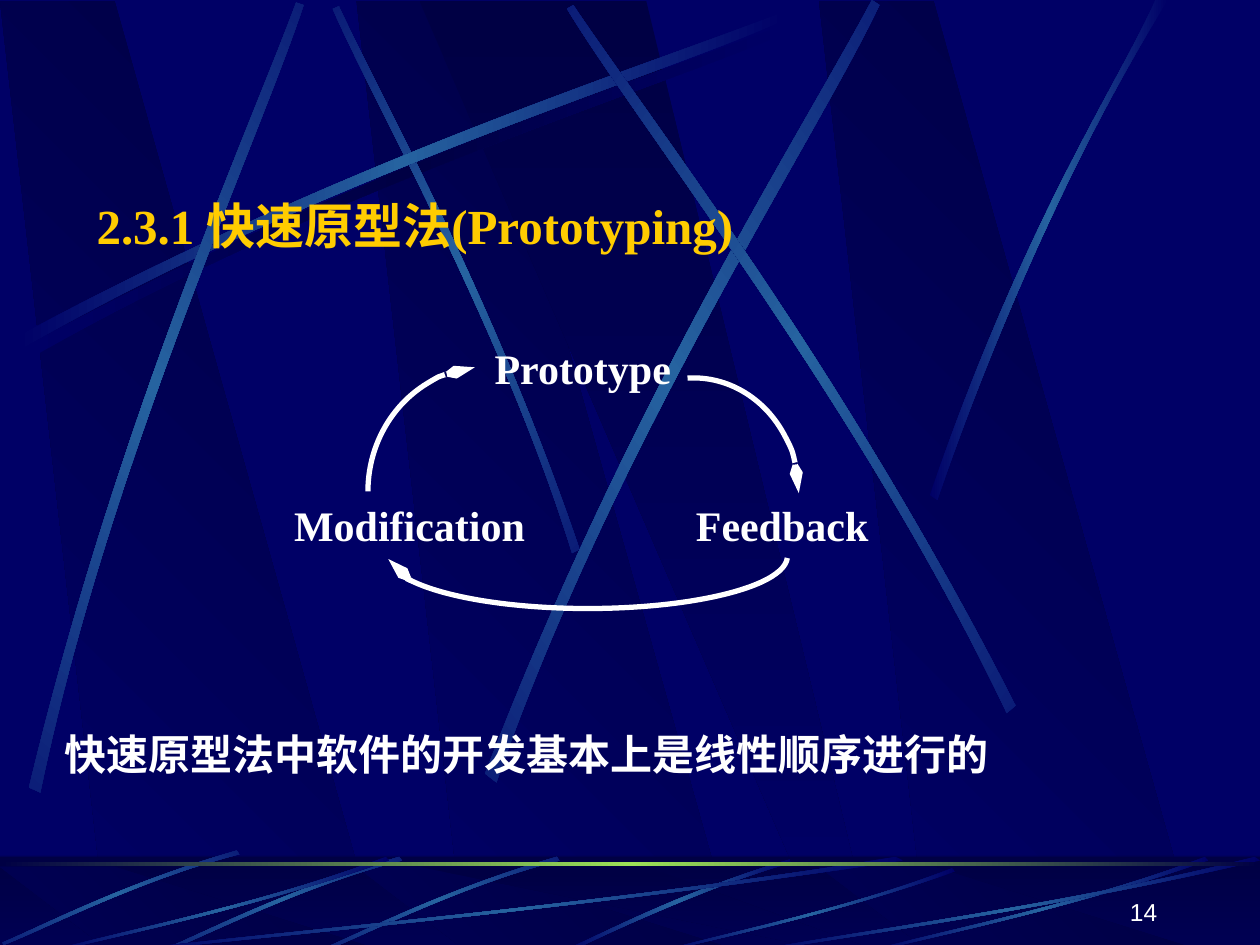
from dataclasses import dataclass
from math import cos, radians, sin

from lxml.etree import SubElement
from pptx import Presentation
from pptx.dml.color import RGBColor
from pptx.enum.shapes import MSO_SHAPE
from pptx.enum.text import MSO_ANCHOR, MSO_AUTO_SIZE, PP_ALIGN
from pptx.oxml.ns import qn
from pptx.util import Inches, Pt

NAVY = RGBColor(0x00, 0x00, 0x66)
DARK = RGBColor(0x00, 0x00, 0x44)
BEAM_BLUE = RGBColor(0x26, 0x63, 0xA0)
LIME = RGBColor(0x9C, 0xE1, 0x57)
GOLD = RGBColor(0xFF, 0xCC, 0x00)
WHITE = RGBColor(0xFF, 0xFF, 0xFF)

SLIDE_W, SLIDE_H = Inches(10), Inches(7.5)
TENTH = SLIDE_W // 10   # beams, panels and arcs: tenths of the slide's width
CELL = SLIDE_W // 120   # text boxes: a grid of 120 columns by 90 rows
BEAM_STOPS = (NAVY, BEAM_BLUE, NAVY)
SERIF = "Times New Roman"

Point = tuple[float, float]


@dataclass(frozen=True)
class Beam:
    """Two facing edges, each a cubic curve of four points."""
    edge: list[Point]
    back: list[Point]
    angle: float = 0


@dataclass(frozen=True)
class Arc:
    """Part of the ellipse in a box, from start to end in degrees."""
    left: float
    top: float
    width: float
    height: float
    start: float
    end: float
    rotation: float = 0


@dataclass(frozen=True)
class Label:
    text: str
    col: float
    row: float
    cols: float
    rows: float
    size: int = 24
    font: str = SERIF
    bold: bool = True
    align: PP_ALIGN = PP_ALIGN.CENTER
    anchor: MSO_ANCHOR = MSO_ANCHOR.TOP
    color: RGBColor = WHITE


SLANT = [(0.86, 1), (3.02, 1), (0.91, 0), (0, 0)]
WEDGE = [(0, 0), (3.25, 1), (3.61, 1), (1.8, 0)]
PANELS = [(SLANT, 2.83, 135), (SLANT, 0, 135), (SLANT, 6.5, 135), (WEDGE, 3.33, 90)]

LONG_BEAM = Beam([(0.14, 2.67), (2.78, 1.25), (5.18, 0.51), (6.2, 0.1)],
                 [(6.23, 0.16), (5.22, 0.61), (2.48, 1.43), (0.17, 2.77)])
BEAMS = [
    Beam([(4.6, 4.36), (3.91, 2.34), (3.02, 0.77), (2.69, 0.05)],
         [(2.64, 0.07), (2.95, 0.79), (3.98, 2.58), (4.54, 4.39)], 45),
    LONG_BEAM,
    Beam([(0.23, 6.25), (0.93, 3.34), (1.97, 1.05), (2.35, 0.02)],
         [(2.41, 0.04), (2.07, 1.08), (0.86, 3.68), (0.32, 6.29)], 311.7),
    Beam([(3.85, 6.14), (4.98, 3.2), (6.38, 1.02), (6.92, 0)],
         [(6.98, 0.04), (6.49, 1.08), (4.86, 3.55), (3.94, 6.21)], 321.6),
    Beam([(8.06, 5.6), (6.7, 2.93), (5.16, 0.95), (4.55, 0.04)],
         [(4.5, 0.07), (5.07, 1.01), (6.85, 3.25), (7.99, 5.66)], 34.8),
    Beam([(7.38, 3.93), (8.14, 1.73), (8.88, 0.66), (9.17, 0)],
         [(9.27, 0), (8.36, 1.45), (7.69, 3.22), (7.44, 3.97)]),
]

FOOT_BEAM = Beam([(6.27, 6.82), (5.37, 7.09), (4.77, 7.42), (4.48, 7.54)],
                 [(4.53, 7.55), (4.9, 7.37), (5.71, 7), (6.28, 6.85)])
TILTED_BEAM = Beam([(1.86, 6.8), (0.99, 7.05), (0.31, 7.4), (0, 7.53)],
                   [(0.01, 7.55), (0.32, 7.43), (1.09, 7.03), (1.88, 6.83)], 314.9)
UNIT_BEAM = Beam([(1, 0.04), (0.57, 0.57), (0.17, 0.85), (0.01, 1)],
                 [(0, 0.99), (0.17, 0.81), (0.62, 0.51), (0.99, 0)])
TILTED_OFFSETS = [(2.56, 0), (1.31, 0), (0.02, -0.05)]
STREAKS = [(1, 6.8, 6.17, 0.75), (0.42, 6.8, 2.67, 0.75), (5.27, 6.89, 2.31, 0.66),
           (6.92, 6.8, 2.67, 0.75), (6, 6.8, 4, 0.75)]

ARCS = [
    Arc(4.67, 3, 1.67, 1.83, 267, 0),
    Arc(2.87, 2.96, 1.98, 1.88, 270, 354.7, 270),
    Arc(3.08, 4, 3.17, 0.83, 0.5, 179.2),
]

HEADING = Label("2.3.1 快速原型法(Prototyping)", 8, 18, 100, 14, size=28,
                align=PP_ALIGN.LEFT, color=GOLD)
LABELS = [
    Label("Prototype", 42, 32, 27, 6),
    Label("Feedback", 63, 47, 23, 6),
    Label("Modification", 26, 47, 26, 6),
    Label("快速原型法中软件的开发基本上是线性顺序进行的", 5, 64, 111, 10.8,
          font="Lato", align=PP_ALIGN.LEFT, anchor=MSO_ANCHOR.BOTTOM),
    Label("14", 86.4, 82.8, 25, 6, size=14, font="Arial", bold=False,
          align=PP_ALIGN.RIGHT, anchor=MSO_ANCHOR.BOTTOM),
]


def place(points: list[Point], left: float, top: float,
          width: float = 1, height: float = 1) -> list[Point]:
    return [(left + x * width, top + y * height) for x, y in points]


def turn(point: Point, degrees: float) -> Point:
    (x, y), a = point, radians(degrees)
    return x * cos(a) - y * sin(a), x * sin(a) + y * cos(a)


def level(points: list[Point], angle: float) -> list[Point]:
    """Where the points lie before their shape is rotated about its centre."""
    flat = [turn(p, -angle) for p in points]
    middle = tuple((min(axis) + max(axis)) / 2 for axis in zip(*flat))
    x, y = turn(middle, angle)
    return place(flat, x - middle[0], y - middle[1])


def outline(s, points: list[Point]):
    emu = [(round(x * TENTH), round(y * TENTH)) for x, y in points]
    builder = s.shapes.build_freeform(*emu[0])
    builder.add_line_segments(emu[1:], close=True)
    sp = builder.convert_to_shape()
    sp.shadow.inherit = False
    return sp


def shade(sp, colors: tuple[RGBColor, ...], angle: float = 0) -> None:
    """Fill with evenly spaced gradient stops, without an outline."""
    sp.line.fill.background()
    sp.fill.gradient()
    grad = sp._element.spPr.find(qn("a:gradFill"))
    for child in list(grad):
        grad.remove(child)
    stops = SubElement(grad, qn("a:gsLst"))
    for i, color in enumerate(colors):
        stop = SubElement(stops, qn("a:gs"), pos=str(100000 * i // (len(colors) - 1)))
        SubElement(stop, qn("a:srgbClr"), val=str(color))
    SubElement(grad, qn("a:lin"), ang=str(angle * 60000), scaled="0")


def bend(sp) -> None:
    """Turn the two runs of three segments along the edges into curves."""
    segments = list(sp._element.iter(qn("a:lnTo")))
    for run in (segments[:3], segments[4:]):
        curve = run[0].makeelement(qn("a:cubicBezTo"))
        run[0].addprevious(curve)
        for segment in run:
            curve.append(segment[0])
            segment.getparent().remove(segment)


def draw_bar(s, top: float, height: float):
    sp = s.shapes.add_shape(MSO_SHAPE.RECTANGLE, 0, round(top * TENTH),
                            SLIDE_W, round(height * TENTH))
    sp.shadow.inherit = False
    sp.line.fill.background()
    return sp


def draw_panels(s, top: float, height: float) -> None:
    for shape, left, angle in PANELS:
        shade(outline(s, place(shape, left, top, 1, height)), (DARK, NAVY), angle)


def draw_beam(s, beam: Beam, box: tuple[float, ...] = (0, 0),
              colors: tuple[RGBColor, ...] = BEAM_STOPS) -> None:
    sp = outline(s, level(place(beam.edge + beam.back, *box), beam.angle))
    bend(sp)
    sp.rotation = beam.angle
    shade(sp, colors)


def draw_arrow(s, arc: Arc) -> None:
    box = (round(n * TENTH) for n in (arc.left, arc.top, arc.width, arc.height))
    sp = s.shapes.add_shape(MSO_SHAPE.ARC, *box)
    sp.adjustments[0], sp.adjustments[1] = arc.start * 0.6, arc.end * 0.6
    sp.rotation = arc.rotation
    sp.shadow.inherit = False
    sp.fill.background()
    sp.line.color.rgb = WHITE
    sp.line.width = Pt(3)
    SubElement(sp.line._get_or_add_ln(), qn("a:tailEnd"), type="arrow", w="sm", len="lg")


def write(sp, label: Label) -> None:
    sp.left, sp.top, sp.width, sp.height = (
        round(n * CELL) for n in (label.col, label.row, label.cols, label.rows))
    tf = sp.text_frame
    tf.word_wrap = True
    tf.auto_size = MSO_AUTO_SIZE.NONE
    tf.vertical_anchor = label.anchor
    p = tf.paragraphs[0]
    p.text = label.text
    p.alignment = label.align
    p.font.size, p.font.bold, p.font.name = Pt(label.size), label.bold, label.font
    p.font.color.rgb = label.color


def draw_backdrop(s) -> None:
    s.background.fill.solid()
    s.background.fill.fore_color.rgb = NAVY
    draw_panels(s, 0.01, 7.52)
    draw_beam(s, LONG_BEAM, (0.06, 0.08), (NAVY, DARK, NAVY))
    for beam in BEAMS:
        draw_beam(s, beam)


def draw_footer(s) -> None:
    shade(draw_bar(s, 6.8, 0.75), (DARK, NAVY), 90)
    draw_panels(s, 6.88, 0.66)
    veil = draw_bar(s, 6.79, 0.75)
    veil.fill.solid()
    veil.fill.fore_color.rgb = DARK
    color = veil._element.spPr.find(qn("a:solidFill")).find(qn("a:srgbClr"))
    SubElement(color, qn("a:alpha"), val="50000")
    draw_beam(s, FOOT_BEAM)
    for offset in TILTED_OFFSETS:
        draw_beam(s, TILTED_BEAM, offset)
    for box in STREAKS:
        draw_beam(s, UNIT_BEAM, box)
    shade(draw_bar(s, 6.84, 0.03), (DARK, LIME, DARK))


def main() -> None:
    prs = Presentation()
    prs.slide_width, prs.slide_height = SLIDE_W, SLIDE_H
    s = prs.slides.add_slide(prs.slide_layouts[5])
    draw_backdrop(s)
    draw_footer(s)
    title = s.shapes.title
    title._element.getparent().append(title._element)  # bring to front
    write(title, HEADING)
    for label in LABELS:
        write(s.shapes.add_textbox(0, 0, CELL, CELL), label)
    for arc in ARCS:
        draw_arrow(s, arc)
    prs.save("out.pptx")


if __name__ == "__main__":
    main()
